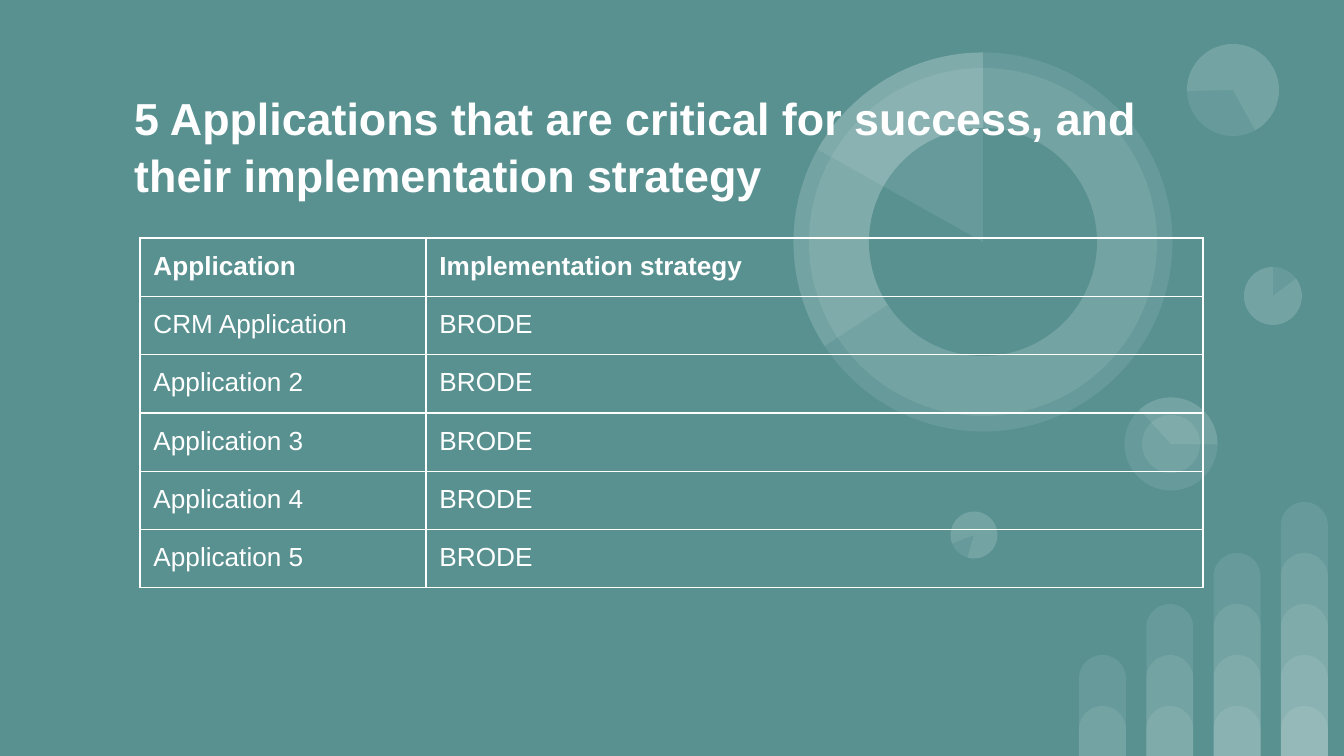
from lxml import etree
from pptx import Presentation
from pptx.dml.color import RGBColor
from pptx.enum.shapes import MSO_SHAPE
from pptx.enum.text import MSO_ANCHOR
from pptx.oxml.ns import qn
from pptx.util import Emu, Pt

BAR = MSO_SHAPE.ROUND_2_SAME_RECTANGLE
DISC = MSO_SHAPE.OVAL
PIE = MSO_SHAPE.PIE
MIDDLE = MSO_ANCHOR.MIDDLE
TEAL, WHITE = "599191", "FFFFFF"
INSET = Emu(91440)


def px(n):
    return Emu(round(n * 914400 / 134.4))


def add_tint(kind, x, y, w, h, color=WHITE, adj=(), rot=0):
    sp = s.shapes.add_shape(kind, px(x), px(y), px(w), px(h))
    sp.shadow.inherit = False
    sp.line.fill.background()
    sp.fill.solid()
    sp.fill.fore_color.rgb = RGBColor.from_string(color)
    if color == WHITE:
        clr = sp.fill._xPr.find(".//" + qn("a:srgbClr"))
        etree.SubElement(clr, qn("a:alpha"), val="9000")
    for i, value in enumerate(adj):
        sp.adjustments[i] = value
    sp.rotation = rot


prs = Presentation()
prs.slide_width, prs.slide_height = px(1344), px(756)
s = prs.slides.add_slide(prs.slide_layouts[6])
s.background.fill.solid()
s.background.fill.fore_color.rgb = RGBColor.from_string(TEAL)

for col in range(4):
    for level in range(col + 2):
        top = 706 - 51 * level
        add_tint(BAR, 1079 + 67.3 * col, top, 47, 756 - top, adj=(0.5, 0))

discs = [
    (DISC, 1273, 296, 58, WHITE, (), 0),
    (PIE, 1273, 296, 58, WHITE, (193.77, 162), 0),
    (DISC, 974, 535, 47, WHITE, (), 196.2),
    (PIE, 974, 535, 47, WHITE, (193.77, 162), 196.2),
    (DISC, 1171, 444, 93, WHITE, (), 90),
    (PIE, 1171, 444, 93, WHITE, (82.45, 162.46), 90),
    (DISC, 1171, 444, 58, WHITE, (), 90),
    (DISC, 1233, 90, 92, WHITE, (), 215.9),
    (PIE, 1233, 90, 92, WHITE, (193.77, 123.14), 215.9),
    (DISC, 983, 242, 379, WHITE, (), 0),
    (DISC, 983, 242, 348, WHITE, (), 34.1),
    (PIE, 983, 242, 379, WHITE, (88.01, 162), 0),
    (DISC, 983, 242, 228, TEAL, (), 34.1),
    (PIE, 983, 242, 379, WHITE, (125.54, 162), 0),
]
for kind, cx, cy, d, color, adj, rot in discs:
    add_tint(kind, cx - d / 2, cy - d / 2, d, d, color, adj, rot)

tf = s.shapes.add_textbox(px(121), px(86), px(1125), px(118)).text_frame
tf.word_wrap = True
tf.vertical_anchor = MIDDLE
tf.margin_left = tf.margin_right = tf.margin_top = tf.margin_bottom = INSET
tf.text = "5 Applications that are critical for success, and their implementation strategy"
p = tf.paragraphs[0]
p.line_spacing = 1.05
r = p.runs[0]
r.font.name, r.font.size, r.font.bold = "Arial", Pt(24), True
r.font.color.rgb = RGBColor.from_string(WHITE)

rows = [("Application", "Implementation strategy"), ("CRM Application", "BRODE")]
rows += [(f"Application {n}", "BRODE") for n in range(2, 6)]
table = s.shapes.add_table(len(rows), 2, px(140), px(238), px(1063), px(336)).table
table.horz_banding = False
table.columns[0].width, table.columns[1].width = px(286), px(777)
for i, row in enumerate(rows):
    table.rows[i].height = px(56)
    for j, text in enumerate(row):
        cell = table.cell(i, j)
        cell.text = text
        cell.margin_left = cell.margin_right = INSET
        cell.margin_top = cell.margin_bottom = INSET
        r = cell.text_frame.paragraphs[0].runs[0]
        r.font.name, r.font.size, r.font.bold = "Arial", Pt(14), i == 0
        r.font.color.rgb = RGBColor.from_string(WHITE)
        tcPr = cell._tc.get_or_add_tcPr()
        for side in ("a:lnL", "a:lnR", "a:lnT", "a:lnB"):
            ln = etree.SubElement(tcPr, qn(side), w=str(Pt(0.75)))
            fill = etree.SubElement(ln, qn("a:solidFill"))
            etree.SubElement(fill, qn("a:srgbClr"), val=WHITE)
        cell.fill.background()

prs.save("out.pptx")
